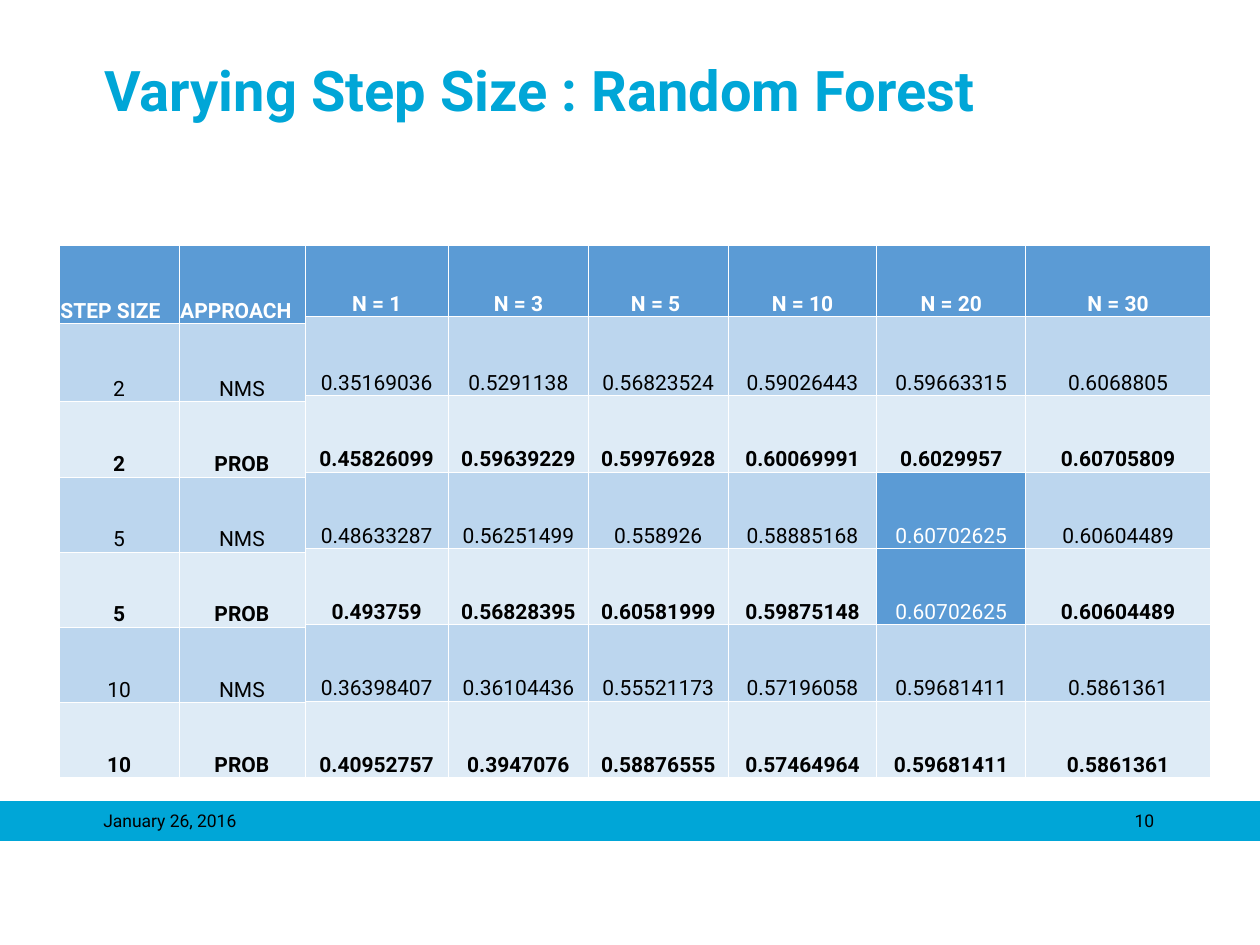
import pptx
import pptx.dml.color
import pptx.enum.shapes
import pptx.enum.text
import pptx.oxml
import pptx.oxml.ns
import pptx.util

Inches = pptx.util.Inches
ALIGN = pptx.enum.text.PP_ALIGN
ANCHOR = pptx.enum.text.MSO_ANCHOR

THEME = {
    "font": "Roboto",
    "accent": "00A6D7", "head": "5B9BD5", "dark": "BCD6EE", "light": "DEEBF6",
    "white": "FFFFFF", "black": "000000",
    "title": 32, "cell": 12, "footer": 10, "rule": 0.5,
}

TEXTS = [
    ("Varying Step Size : Random Forest", (0.83, 0.39, 8.5, 1.25), "title", "accent", True, ALIGN.LEFT),
    ("January 26, 2016", (0.82, 6.38, 2.08, 0.33), "footer", "black", False, ALIGN.LEFT),
    ("10", (7.08, 6.38, 2.08, 0.25), "footer", "black", False, ALIGN.RIGHT),
]

SCORES = {
    "left": 2.42, "cols": (1.14, 1.11, 1.11, 1.18, 1.18, 1.47), "top_rows": (0.56, 0.63),
    "head_align": ALIGN.CENTER, "highlights": {(3, 4), (4, 4)},
    "rows": [
        ("N = 1", "N = 3", "N = 5 ", "N = 10", "N = 20", "N = 30"),
        ("0.35169036", "0.5291138", "0.56823524", "0.59026443", "0.59663315", "0.6068805"),
        ("0.45826099", "0.59639229", "0.59976928", "0.60069991", "0.6029957", "0.60705809"),
        ("0.48633287", "0.56251499", "0.558926", "0.58885168", "0.60702625", "0.60604489"),
        ("0.493759", "0.56828395", "0.60581999", "0.59875148", "0.60702625", "0.60604489"),
        ("0.36398407", "0.36104436", "0.55521173", "0.57196058", "0.59681411", "0.5861361"),
        ("0.40952757", "0.3947076", "0.58876555", "0.57464964", "0.59681411", "0.5861361"),
    ],
}
APPROACHES = {
    "left": 0.47, "cols": (0.95, 1), "top_rows": (0.62, 0.62),
    "head_align": ALIGN.LEFT, "highlights": set(),
    "rows": [("STEP SIZE", "APPROACH")] + [
        (step, approach) for step in ("2", "5", "10") for approach in ("NMS", "PROB")
    ],
}
TABLE_TOP, TABLE_HEIGHT = 1.95, 4.22


def color(name):
    return pptx.dml.color.RGBColor.from_string(THEME[name])


def apply(target, values):
    for name, value in values.items():
        setattr(target, name, value)


def margins(left, top, right, bottom):
    sides = zip(("left", "top", "right", "bottom"), (left, top, right, bottom))
    return {f"margin_{side}": Inches(size) for side, size in sides}


def write(tf, text, size, ink, bold, align):
    p = tf.paragraphs[0]
    p.alignment = align
    r = p.add_run()
    r.text = text
    apply(r.font, {"name": THEME["font"], "size": pptx.util.Pt(THEME[size]), "bold": bold})
    r.font.color.rgb = color(ink)


def add_borders(cell):
    width = pptx.util.Pt(THEME["rule"])
    for side in "LRTB":
        cell._tc.get_or_add_tcPr().append(pptx.oxml.parse_xml(
            f'<a:ln{side} {pptx.oxml.ns.nsdecls("a")} w="{width}"><a:solidFill>'
            f'<a:srgbClr val="{THEME["white"]}"/></a:solidFill></a:ln{side}>'))


def cell_style(row, highlighted):
    if row == 0:
        return "head", "white", True
    if highlighted:
        return "head", "white", False
    return ("dark", "black", False) if row % 2 else ("light", "black", True)


def add_grid(s, data):
    rows, cols, top_rows = data["rows"], data["cols"], data["top_rows"]
    rest = len(rows) - len(top_rows)
    heights = top_rows + ((TABLE_HEIGHT - sum(top_rows)) / rest,) * rest
    table = s.shapes.add_table(
        len(rows), len(cols), Inches(data["left"]), Inches(TABLE_TOP),
        Inches(sum(cols)), Inches(TABLE_HEIGHT)).table
    apply(table, {"first_row": False, "horz_banding": False})
    for col, width in zip(table.columns, cols):
        col.width = Inches(width)
    for i, (values, height) in enumerate(zip(rows, heights)):
        table.rows[i].height = Inches(height)
        for j, text in enumerate(values):
            cell = table.cell(i, j)
            fill, ink, bold = cell_style(i, (i, j) in data["highlights"])
            apply(cell, {"vertical_anchor": ANCHOR.BOTTOM, **margins(0.01, 0.01, 0.01, 0)})
            add_borders(cell)
            cell.fill.solid()
            cell.fill.fore_color.rgb = color(fill)
            align = ALIGN.CENTER if i else data["head_align"]
            write(cell.text_frame, text, "cell", ink, bold, align)


def main():
    """Build the slide comparing random forest scores by step size."""
    prs = pptx.Presentation()
    apply(prs, {"slide_width": Inches(10), "slide_height": Inches(7.5)})
    s = prs.slides.add_slide(prs.slide_layouts[6])

    band = s.shapes.add_shape(
        pptx.enum.shapes.MSO_SHAPE.RECTANGLE, 0, Inches(6.36), Inches(10), Inches(0.31))
    band.shadow.inherit = False
    band.fill.solid()
    band.fill.fore_color.rgb = color("accent")
    band.line.color.rgb = color("accent")
    band.line.width = pptx.util.Pt(0.75)

    for text, box, *style in TEXTS:
        tf = s.shapes.add_textbox(*map(Inches, box)).text_frame
        apply(tf, {"word_wrap": True, "vertical_anchor": ANCHOR.TOP, **margins(0, 0.05, 0, 0.05)})
        write(tf, text, *style)

    for data in (SCORES, APPROACHES):
        add_grid(s, data)
    prs.save("out.pptx")


if __name__ == "__main__":
    main()
